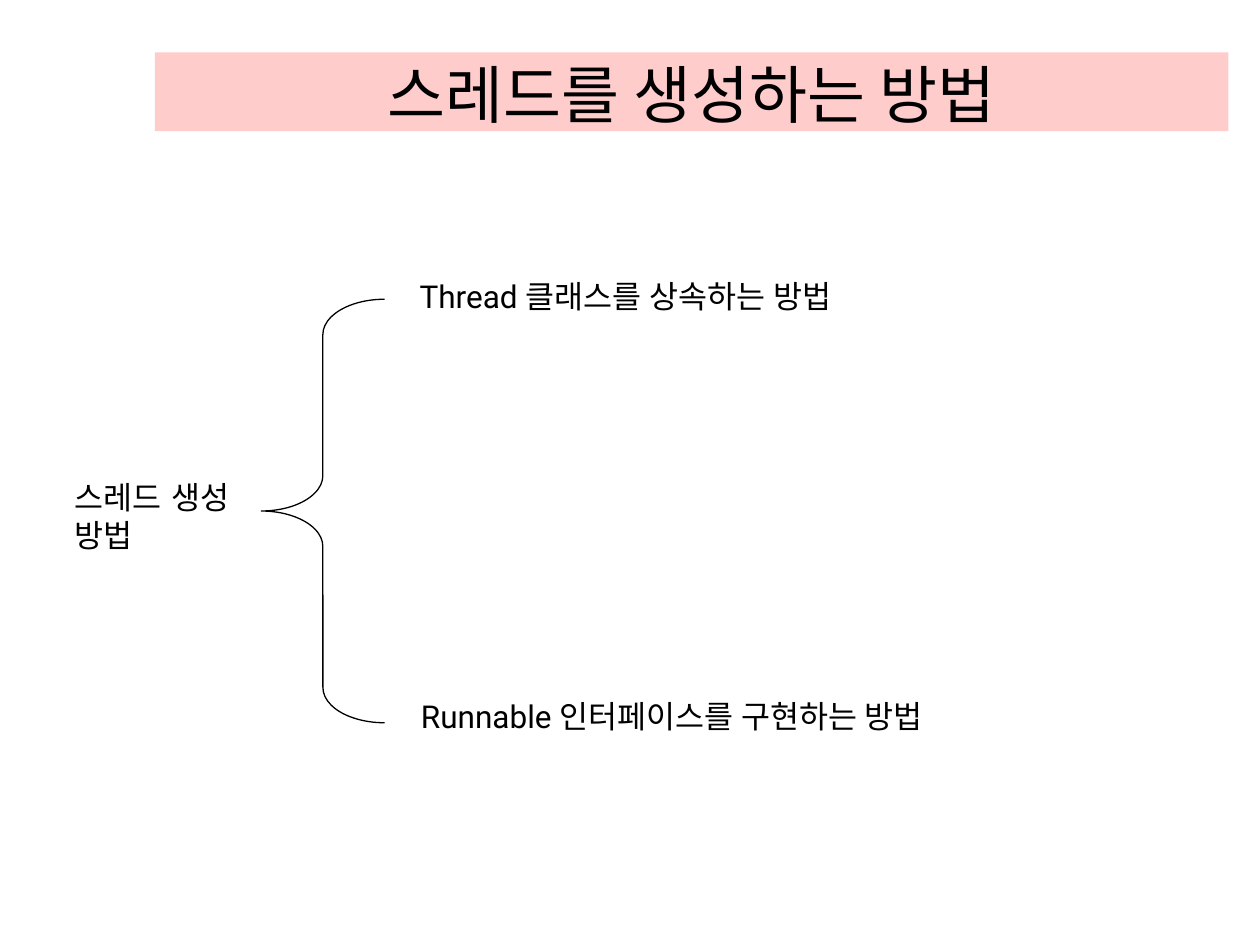
from pptx import Presentation
from pptx.dml.color import RGBColor
from pptx.enum import shapes, text
from pptx.oxml.ns import qn
from pptx.util import Pt

THEME = {
    "ink": RGBColor(0x00, 0x00, 0x00),
    "banner": RGBColor(0xFF, 0xCC, 0xCC),
    "title_size": Pt(36),
    "label_size": Pt(18),
    "title_font": "Noto Sans CJK KR",
    "root_font": "Comic Neue",
    "branch_font": "Roboto",
}


def place(shape, left, top, width, height):
    """Move and size a shape, in points."""
    shape.left, shape.top = Pt(left), Pt(top)
    shape.width, shape.height = Pt(width), Pt(height)


def write(frame, words, size, face):
    """Fill a text frame with one formatted paragraph."""
    frame.text = words
    frame.word_wrap = True
    font = frame.paragraphs[0].runs[0].font
    font.size, font.name = size, face
    font.color.rgb = THEME["ink"]
    # Hangul takes its face from the East Asian slot
    east_asian = font._element.makeelement(qn("a:ea"), {"typeface": face})
    font._element.find(qn("a:latin")).addnext(east_asian)


deck = Presentation()
deck.slide_width, deck.slide_height = Pt(720), Pt(540)
slide = deck.slides.add_slide(deck.slide_layouts[5])

# Title banner
title = slide.shapes.title
place(title, 88.5, 30, 613.5, 45)
title.fill.solid()
title.fill.fore_color.rgb = THEME["banner"]
write(title.text_frame, "스레드를 생성하는 방법", THEME["title_size"], THEME["title_font"])
title.text_frame.vertical_anchor = text.MSO_ANCHOR.BOTTOM
title.text_frame.margin_bottom = 0
title.text_frame.paragraphs[0].alignment = text.PP_ALIGN.CENTER

# Brace from the topic to its two branches
brace = slide.shapes.add_shape(
    shapes.MSO_SHAPE.LEFT_BRACE, Pt(149.25), Pt(171), Pt(70.5), Pt(242)
)
brace.adjustments[0] = 0.287
brace.shadow.inherit = False
brace.fill.background()
brace.line.color.rgb = THEME["ink"]
brace.line.width = Pt(0.75)

# Topic and branch labels
labels = [
    ("스레드 생성 방법", THEME["root_font"], 35.5, 269.5, 124, 50.5),
    ("Thread 클래스를 상속하는 방법", THEME["branch_font"], 232.75, 155, 310, 29),
    ("Runnable 인터페이스를 구현하는 방법", THEME["branch_font"], 233.5, 395, 360, 29),
]
for words, face, *box in labels:
    label = slide.shapes.add_textbox(0, 0, 0, 0)
    place(label, *box)
    write(label.text_frame, words, THEME["label_size"], face)
    label.text_frame.auto_size = text.MSO_AUTO_SIZE.SHAPE_TO_FIT_TEXT

deck.save("out.pptx")
